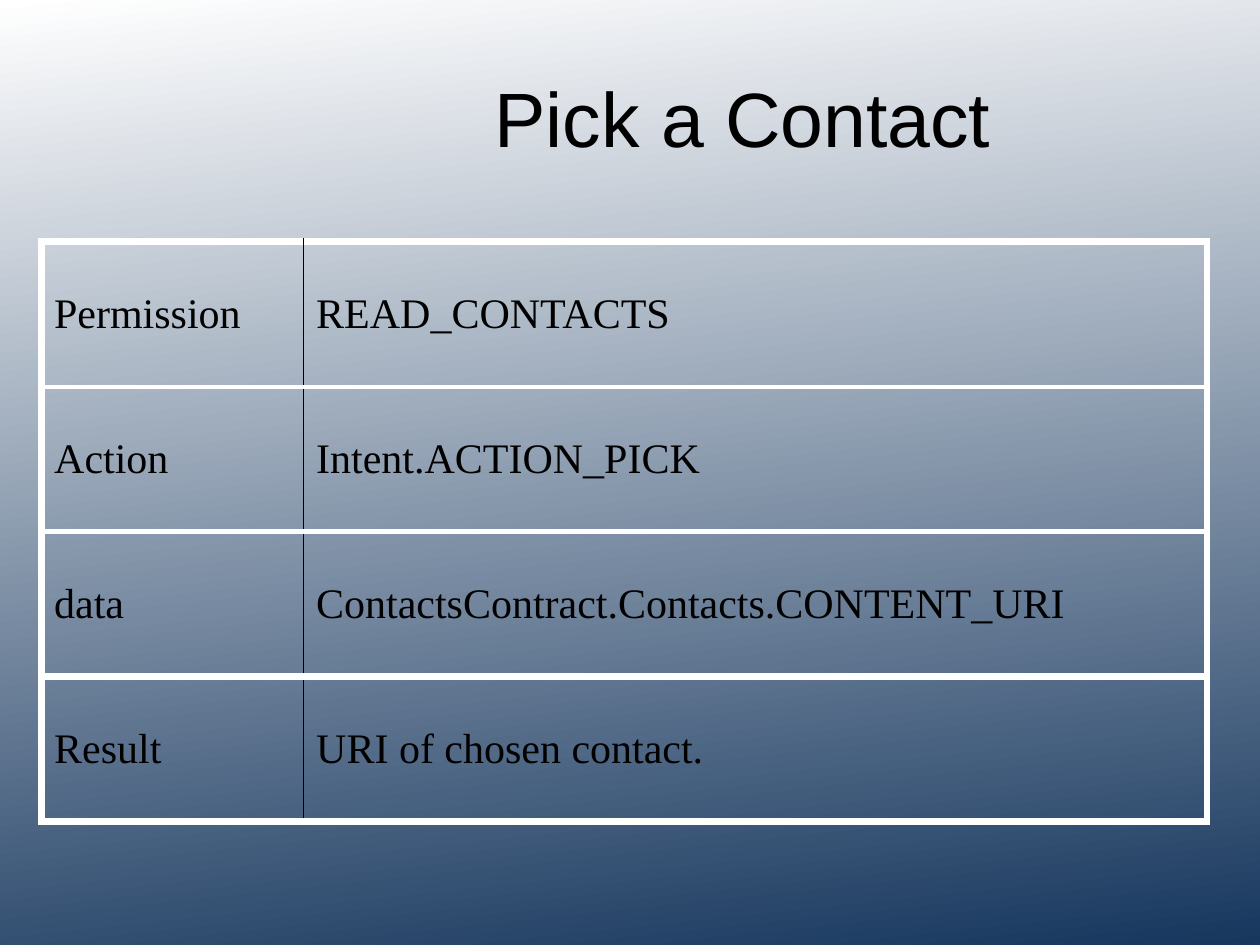
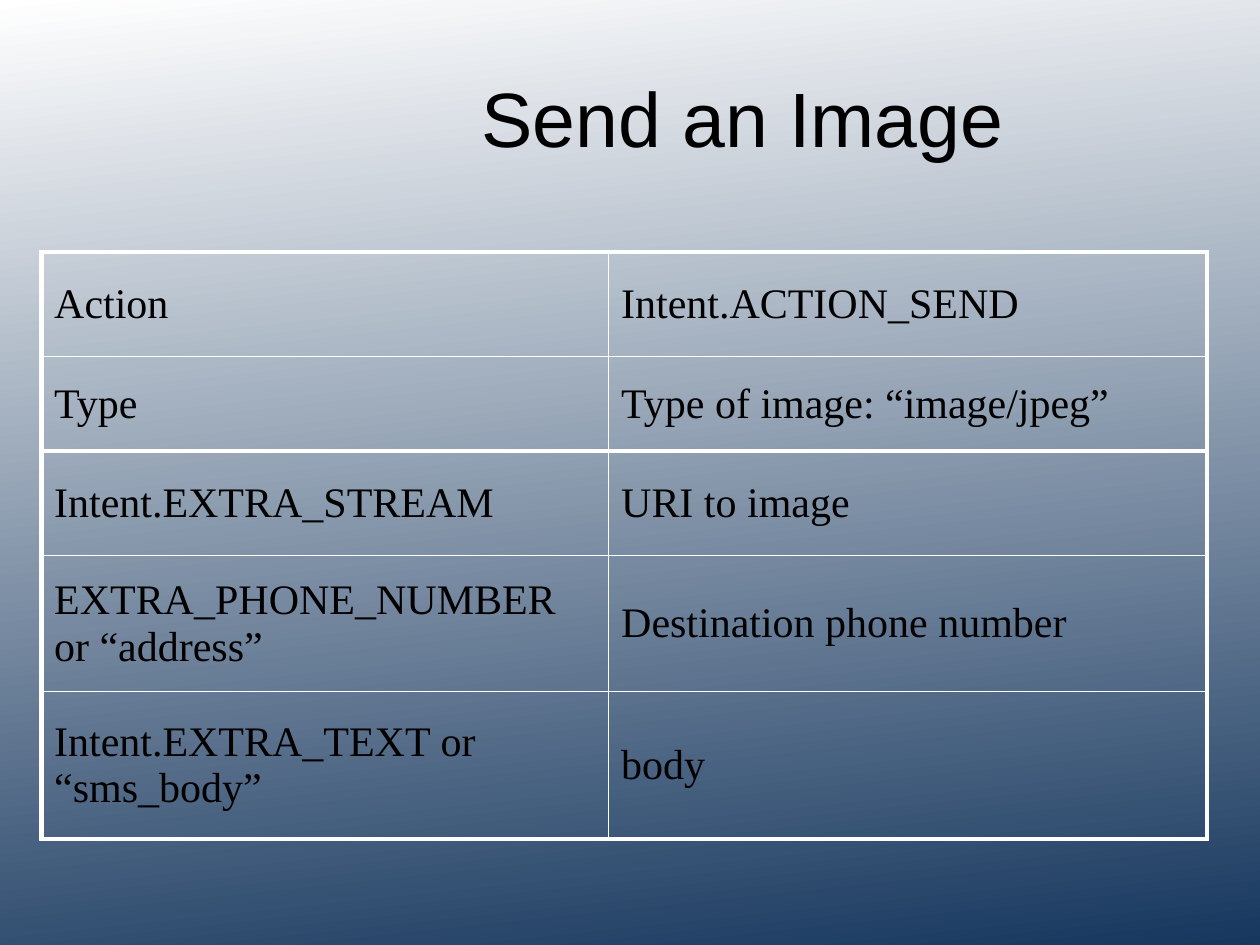
from lxml import etree
from pptx import Presentation
from pptx.dml.color import RGBColor
from pptx.enum.text import MSO_ANCHOR, PP_ALIGN
from pptx.oxml.ns import qn
from pptx.util import Inches, Pt

MIDDLE = MSO_ANCHOR.MIDDLE
LEFT = PP_ALIGN.LEFT
CENTER = PP_ALIGN.CENTER

NAVY = RGBColor(0x17, 0x37, 0x5E)
WHITE = RGBColor(0xFF, 0xFF, 0xFF)
BLACK = RGBColor(0x00, 0x00, 0x00)

TITLE_FONT = "Arial"
TABLE_FONT = "Times New Roman"
TITLE_ONLY = 5

HEAVY = (WHITE, 4.5)
MEDIUM = (WHITE, 3)
THIN = (WHITE, 1)
DIVIDER = (BLACK, 1)


def write_text(frame, text, font=TABLE_FONT, size=24, color=BLACK, align=LEFT):
    para = frame.paragraphs[0]
    para.alignment = align
    span = para.add_run()
    span.text = text
    span.font.name = font
    span.font.size = Pt(size)
    span.font.bold = False
    span.font.color.rgb = color


def set_borders(cell, **rules):
    properties = cell._tc.get_or_add_tcPr()
    for position, side in enumerate("LRTB"):
        color, width = rules[side]
        line = etree.Element(qn(f"a:ln{side}"), w=str(Pt(width)))
        fill = etree.SubElement(line, qn("a:solidFill"))
        etree.SubElement(fill, qn("a:srgbClr"), val=str(color))
        properties.insert(position, line)


class DeckBuilder:
    def __init__(self):
        self.deck = Presentation()
        self.deck.slide_width = Inches(10)
        self.deck.slide_height = Inches(7.5)
        self.page = None
        self.paint_background()

    def paint_background(self):
        fill = self.deck.slide_master.background.fill
        fill.gradient()
        fill.gradient_angle = 96
        for stop, color in zip(fill.gradient_stops, (NAVY, WHITE)):
            stop.color.rgb = color

    def add_page(self, title):
        self.page = self.deck.slides.add_slide(self.deck.slide_layouts[TITLE_ONLY])
        box = self.page.shapes.title
        box.left, box.top = Inches(2.29), Inches(0.3)
        box.width, box.height = Inches(7.21), Inches(1.25)
        box.text_frame.vertical_anchor = MIDDLE
        write_text(box.text_frame, title, font=TITLE_FONT, size=44, align=CENTER)

    def add_table(self, top, widths, heights, rows, column_rules, row_rules):
        frame = self.page.shapes.add_table(
            len(rows), len(widths), Inches(0.33), Inches(top),
            Inches(sum(widths)), Inches(sum(heights)))
        table = frame.table
        table.first_row = False
        table.horz_banding = False
        for column, width in zip(table.columns, widths):
            column.width = Inches(width)
        for row, height in zip(table.rows, heights):
            row.height = Inches(height)
        for r, texts in enumerate(rows):
            for c, text in enumerate(texts):
                cell = table.cell(r, c)
                cell.fill.background()
                cell.vertical_anchor = MIDDLE
                write_text(cell.text_frame, text)
                set_borders(cell, L=column_rules[c], R=column_rules[c + 1],
                            T=row_rules[r], B=row_rules[r + 1])

    def save(self):
        self.deck.save("out.pptx")


def main():
    builder = DeckBuilder()

    builder.add_page("Pick a Contact")
    builder.add_table(
        top=1.92,
        widths=[2.08, 7.17],
        heights=[1.15] * 4,
        rows=[
            ("Permission", "READ_CONTACTS"),
            ("Action", "Intent.ACTION_PICK"),
            ("data", "ContactsContract.Contacts.CONTENT_URI"),
            ("Result", "URI of chosen contact."),
        ],
        column_rules=[HEAVY, DIVIDER, HEAVY],
        row_rules=[HEAVY, MEDIUM, MEDIUM, HEAVY, HEAVY],
    )

    builder.add_page("Send an Image")
    builder.add_table(
        top=2,
        widths=[4.5, 4.75],
        heights=[0.83, 0.75, 0.83, 1.08, 1.17],
        rows=[
            ("Action", "Intent.ACTION_SEND"),
            ("Type", "Type of image: “image/jpeg”"),
            ("Intent.EXTRA_STREAM", "URI to image"),
            ("EXTRA_PHONE_NUMBER or “address”", "Destination phone number"),
            ("Intent.EXTRA_TEXT or “sms_body”", "body"),
        ],
        column_rules=[MEDIUM, THIN, MEDIUM],
        row_rules=[MEDIUM, THIN, MEDIUM, THIN, THIN, MEDIUM],
    )

    builder.save()


if __name__ == "__main__":
    main()
